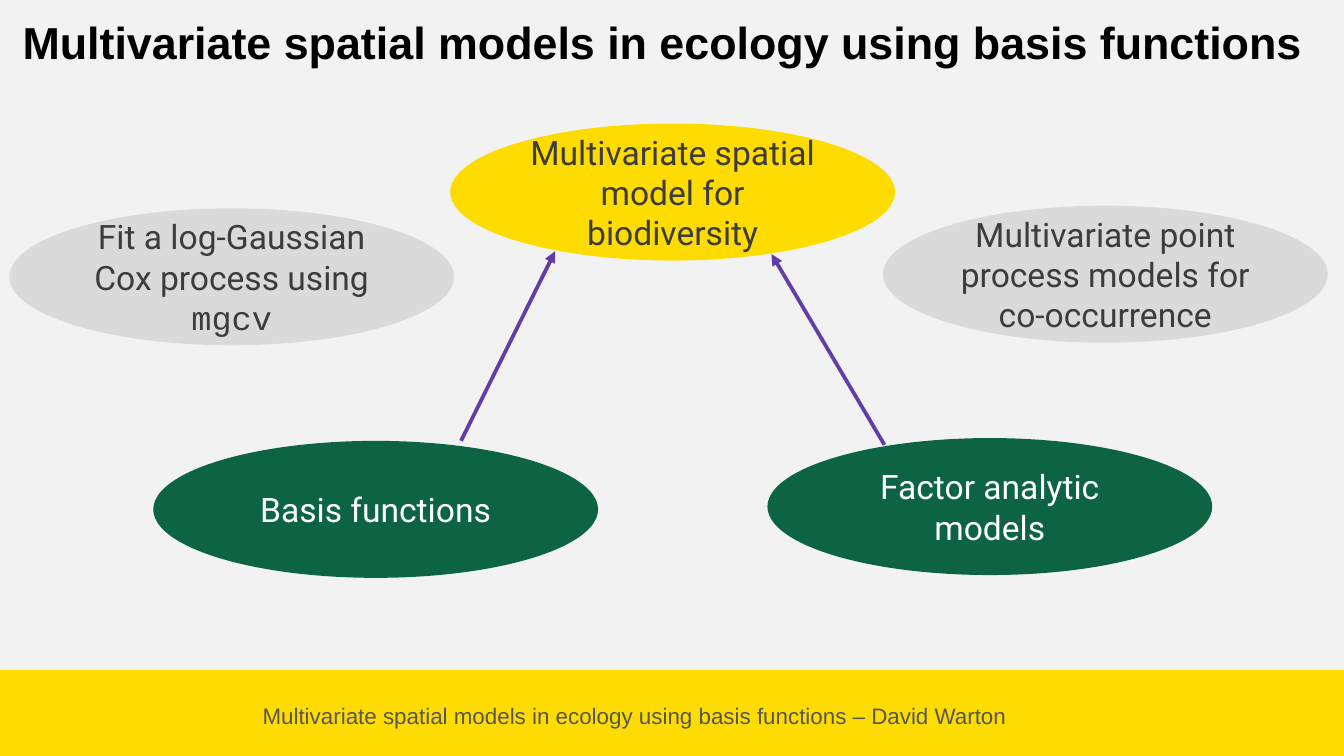
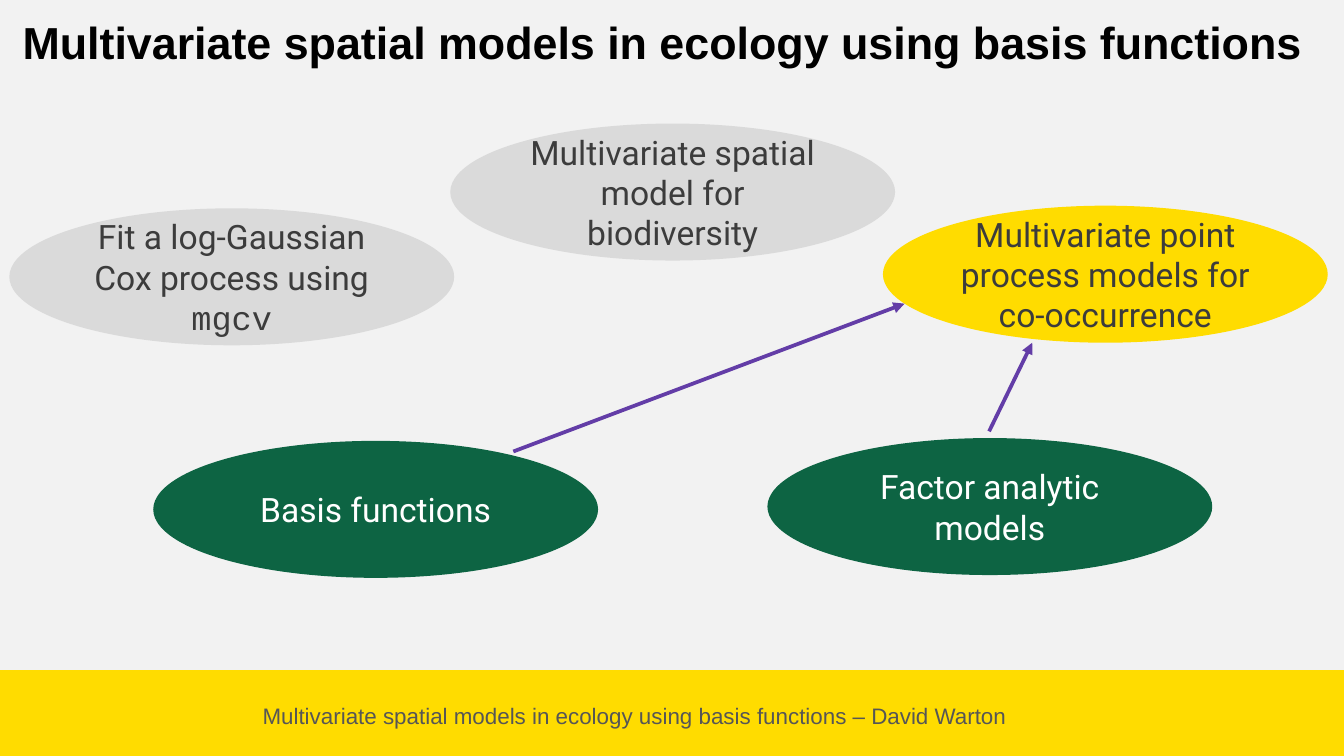
from dataclasses import dataclass

from lxml import etree
from pptx import Presentation
from pptx.dml.color import RGBColor
from pptx.enum.shapes import MSO_CONNECTOR, MSO_SHAPE
from pptx.enum.text import MSO_ANCHOR, MSO_AUTO_SIZE, PP_ALIGN
from pptx.oxml.ns import qn
from pptx.util import Pt

STRAIGHT = MSO_CONNECTOR.STRAIGHT
OVAL, RECTANGLE = MSO_SHAPE.OVAL, MSO_SHAPE.RECTANGLE
MIDDLE, FIT_SHAPE = MSO_ANCHOR.MIDDLE, MSO_AUTO_SIZE.SHAPE_TO_FIT_TEXT
LEFT, CENTER = PP_ALIGN.LEFT, PP_ALIGN.CENTER


@dataclass(frozen=True)
class Theme:
    background: str = "F2F2F2"
    yellow: str = "FFDC00"
    gray: str = "DADADA"
    green: str = "0D6443"
    purple: str = "633DA7"
    black: str = "000000"
    dark: str = "3C3C3C"
    footer: str = "565656"
    white: str = "FFFFFF"
    sans: str = "Arial"
    body: str = "Roboto"
    code: str = "Courier New"
    title_size: int = 24
    body_size: int = 18
    footer_size: int = 12


theme = Theme()


def write(box, texts, size, color, align, frame_format, bold=False):
    """Fill a box with one paragraph of (text, font name) spans."""
    for name, value in frame_format.items():
        setattr(box.text_frame, name, value)
    para = box.text_frame.paragraphs[0]
    para.alignment = align
    for text, font_name in texts:
        span = para.add_run()
        span.text = text
        for name, value in {"name": font_name, "size": Pt(size), "bold": bold}.items():
            setattr(span.font, name, value)
        span.font.color.rgb = RGBColor.from_string(color)


def add_filled(page, kind, bounds, color):
    shape = page.shapes.add_shape(kind, *map(Pt, bounds))
    shape.shadow.inherit = False
    shape.fill.solid()
    shape.fill.fore_color.rgb = RGBColor.from_string(color)
    shape.line.fill.background()
    return shape


# Content
TITLE = "Multivariate spatial models in ecology using basis functions"
FOOTER = TITLE + " – David Warton"
OVAL_SIZE = (238.3, 73.4)
OVAL_FORMAT = {"word_wrap": True, "vertical_anchor": MIDDLE,
               "margin_left": 0, "margin_right": 0, "margin_top": 0, "margin_bottom": 0}

# Applications: key, left, top, spans
applications = [
    ("cox", 5, 111.6, [("Fit a log-Gaussian Cox process using ", theme.body), ("mgcv", theme.code)]),
    ("biodiversity", 241.2, 66.2, [("Multivariate spatial model for biodiversity", theme.body)]),
    ("co-occurrence", 473, 110.2,
     [("Multivariate point process models for co-occurrence", theme.body)]),
]
# Tools: left, top, text
tools = [(82.1, 236.2, "Basis functions"), (411.1, 234.7, "Factor analytic models")]

# Each page highlights one application; arrows run from the tools to it
pages = [
    ("biodiversity", [(247, 236.2, 297.4, 134.6), (473.8, 238.3, 413.3, 136.1)]),
    ("co-occurrence", [(275, 241.9, 484.6, 162.7), (529.9, 231.1, 553, 183.6)]),
]

# Deck and shared background
deck = Presentation()
deck.slide_width, deck.slide_height = Pt(720), Pt(405)
background = deck.slide_master.background.fill
background.solid()
background.fore_color.rgb = RGBColor.from_string(theme.background)

for highlight, arrows in pages:
    page = deck.slides.add_slide(deck.slide_layouts[6])

    # Footer band and title
    add_filled(page, RECTANGLE, (0, 359, 720, 46), theme.yellow)
    footer = page.shapes.add_textbox(Pt(133.2), Pt(372.4), Pt(414), Pt(21.8))
    write(footer, [(FOOTER, theme.sans)], theme.footer_size, theme.footer, CENTER,
          {"word_wrap": True, "auto_size": FIT_SHAPE})
    title = page.shapes.add_textbox(Pt(5), Pt(4.4), Pt(706.3), Pt(36.4))
    write(title, [(TITLE, theme.sans)], theme.title_size, theme.black, LEFT,
          {"word_wrap": False, "auto_size": FIT_SHAPE}, bold=True)

    # Applications above, tools below
    for key, left, top, texts in applications:
        color = theme.yellow if key == highlight else theme.gray
        oval = add_filled(page, OVAL, (left, top, *OVAL_SIZE), color)
        write(oval, texts, theme.body_size, theme.dark, CENTER, OVAL_FORMAT)
    for left, top, text in tools:
        oval = add_filled(page, OVAL, (left, top, *OVAL_SIZE), theme.green)
        write(oval, [(text, theme.body)], theme.body_size, theme.white, CENTER, OVAL_FORMAT)

    # Arrows
    for ends in arrows:
        arrow = page.shapes.add_connector(STRAIGHT, *map(Pt, ends))
        arrow.line.width = Pt(2)
        arrow.line.color.rgb = RGBColor.from_string(theme.purple)
        etree.SubElement(arrow.line._get_or_add_ln(), qn("a:tailEnd"), type="triangle")
        etree.SubElement(arrow._element.spPr, qn("a:effectLst"))

deck.save("out.pptx")
